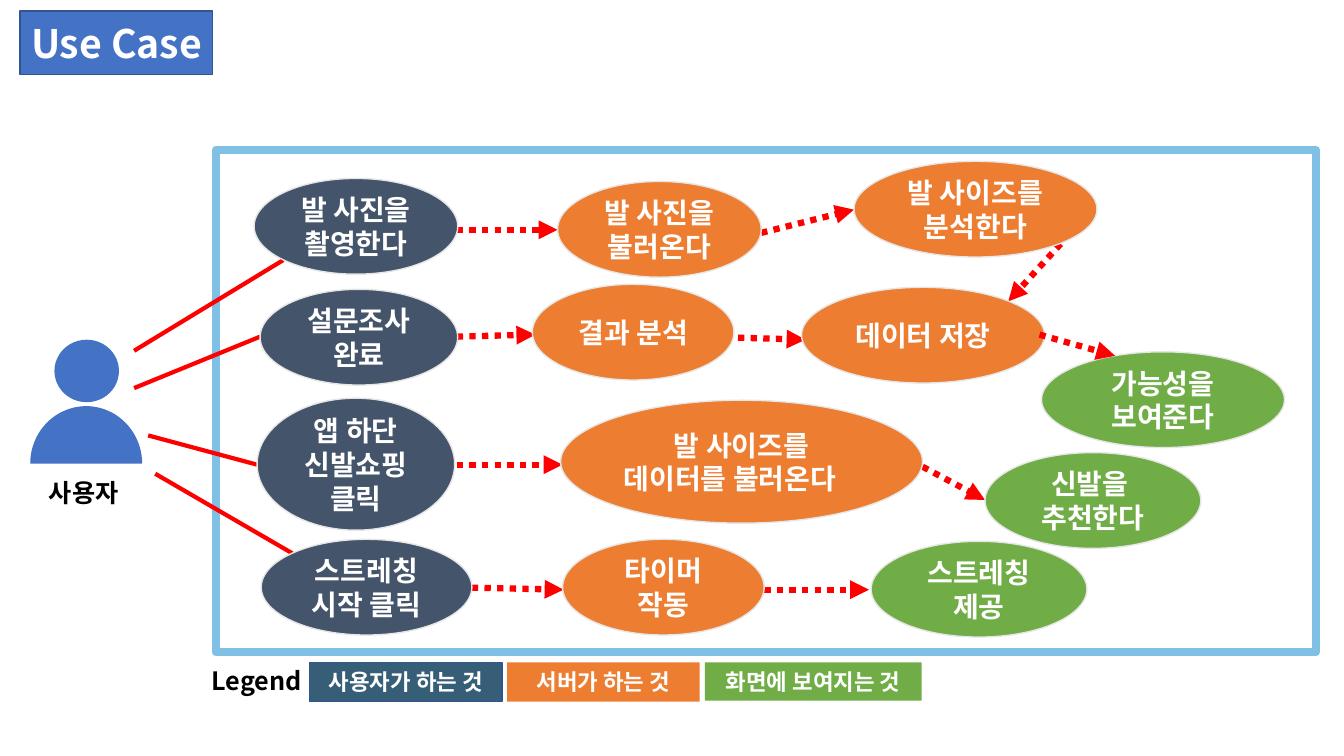
import math
from lxml import etree
from pptx import Presentation
from pptx.dml.color import RGBColor
from pptx.enum.dml import MSO_LINE
from pptx.enum.shapes import MSO_CONNECTOR, MSO_SHAPE
from pptx.enum.text import MSO_ANCHOR, PP_ALIGN
from pptx.oxml.ns import qn
from pptx.util import Inches, Pt

RECT, OVAL = MSO_SHAPE.RECTANGLE, MSO_SHAPE.OVAL
STRAIGHT = MSO_CONNECTOR.STRAIGHT
DOTTED = MSO_LINE.ROUND_DOT
MIDDLE, TOP = MSO_ANCHOR.MIDDLE, MSO_ANCHOR.TOP
CENTER, LEFT = PP_ALIGN.CENTER, PP_ALIGN.LEFT

FONT = "Noto Sans CJK KR"
COLORS = {
    "white": "FFFFFF", "black": "000000", "blue": "4472C4", "edge": "325491",
    "frame": "81C0E5", "user": "44546A", "user_key": "365E77",
    "server": "ED7D31", "screen": "70AD47", "rim": "E6E6E6", "red": "FF0000",
}

# Use cases: role, left, top, width, height, lines of text
USE_CASES = [
    ("user", 2.52, 1.77, 2.02, 0.95, ["발 사진을 촬영한다"]),
    ("server", 5.53, 1.8, 2.02, 0.95, ["발 사진을 불러온다"]),
    ("server", 8.47, 1.6, 2.41, 0.95, ["발 사이즈를", "분석한다"]),
    ("user", 2.58, 2.87, 1.96, 0.95, ["설문조사", "완료"]),
    ("server", 5.28, 2.82, 2, 0.95, ["결과 분석"]),
    ("server", 7.95, 2.85, 2.41, 0.95, ["데이터 저장"]),
    ("screen", 10.33, 3.49, 2.41, 0.95, ["가능성을", "보여준다"]),
    ("user", 2.55, 3.95, 1.96, 1.31, ["앱 하단", "신발쇼핑", "클릭"]),
    ("screen", 9.77, 4.49, 2.14, 0.95, ["신발을 ", "추천한다"]),
    ("user", 2.59, 5.35, 2.09, 0.95, ["스트레칭", "시작 클릭"]),
    ("server", 5.58, 5.35, 2, 0.95, ["타이머", "작동"]),
    ("screen", 8.64, 5.37, 2.14, 0.95, ["스트레칭", "제공"]),
]
LOAD_SIZE = ("server", 5.56, 3.97, 3.59, 1.22, ["발 사이즈를", "데이터를 불러온다"])

# Lines and arrows: start x, start y, end x, end y
USER_LINES = [
    (1.33, 3.48, 2.81, 2.58), (1.33, 3.85, 2.58, 3.34),
    (1.47, 4.32, 2.55, 4.61), (1.54, 4.7, 2.9, 5.49),
]
FLOW_ARROWS = [
    (4.53, 2.28, 5.53, 2.28), (7.55, 2.31, 8.47, 2.08), (10.52, 2.42, 10, 2.99),
    (4.53, 3.34, 5.31, 3.32), (7.32, 3.35, 7.99, 3.37),
    (4.53, 4.61, 5.58, 4.61), (9.15, 4.63, 9.77, 4.96),
    (4.68, 5.83, 5.59, 5.85), (7.58, 5.85, 8.62, 5.85),
]
RESULT_ARROW = (10.31, 3.32, 11.06, 3.53)

# Legend: colour, edge, left, width, height, text
LEGEND = [
    ("user_key", "edge", 3.07, 1.91, 0.39, "사용자가 하는 것"),
    ("server", None, 5.03, 1.91, 0.39, "서버가 하는 것"),
    ("screen", None, 6.99, 2.15, 0.38, "화면에 보여지는 것"),
]


def rgb(name):
    return RGBColor.from_string(COLORS[name])


def paint(sp, fill, edge=None, width=1):
    sp.shadow.inherit = False
    sp.fill.solid()
    sp.fill.fore_color.rgb = rgb(fill)
    if edge:
        sp.line.color.rgb = rgb(edge)
        sp.line.width = Pt(width)
    else:
        sp.line.fill.background()


def write(sp, lines, size, color="white", anchor=MIDDLE, align=CENTER):
    tf = sp.text_frame
    tf.word_wrap = True
    tf.vertical_anchor = anchor
    for i, line in enumerate(lines):
        p = tf.paragraphs[0] if i == 0 else tf.add_paragraph()
        p.alignment = align
        r = p.add_run()
        r.text = line
        for key, value in {"name": FONT, "size": Pt(size), "bold": True}.items():
            setattr(r.font, key, value)
        r.font.color.rgb = rgb(color)
        ea = etree.SubElement(r.font._element, qn("a:ea"))
        ea.set("typeface", FONT)


def add_box(s, kind, x, y, w, h, fill, edge=None, width=1):
    sp = s.shapes.add_shape(kind, Inches(x), Inches(y), Inches(w), Inches(h))
    paint(sp, fill, edge, width)
    return sp


def add_label(s, x, y, w, text):
    tb = s.shapes.add_textbox(Inches(x), Inches(y), Inches(w), Inches(0.4))
    write(tb, [text], 18, "black", TOP)


def add_use_case(s, role, x, y, w, h, lines, align=CENTER):
    sp = add_box(s, OVAL, x, y, w, h, role, "rim")
    write(sp, lines, 20, align=align)
    return sp


def add_line(s, x1, y1, x2, y2, arrow=False):
    cn = s.shapes.add_connector(STRAIGHT, Inches(x1), Inches(y1), Inches(x2), Inches(y2))
    cn.line.color.rgb = rgb("red")
    cn.line.width = Pt(4.5 if arrow else 3)
    if arrow:
        cn.line.dash_style = DOTTED
        tail = etree.SubElement(cn.line._get_or_add_ln(), qn("a:tailEnd"))
        tail.set("type", "triangle")
    etree.SubElement(cn._element.spPr, qn("a:effectLst"))


def add_user(s):
    # Shoulders are the upper half of an ellipse, below a round head
    cx, base, rx, ry, steps = 0.855, 4.6, 0.555, 0.57, 60
    points = []
    for i in range(steps + 1):
        angle = math.pi * i / steps
        points.append((Inches(cx - rx * math.cos(angle)), Inches(base - ry * math.sin(angle))))
    fb = s.shapes.build_freeform(*points[0])
    fb.add_line_segments(points[1:], close=True)
    paint(fb.convert_to_shape(), "blue")
    add_box(s, OVAL, 0.54, 3.37, 0.64, 0.62, "blue")
    add_label(s, 0.2, 4.69, 1.26, "사용자")


def main():
    prs = Presentation()
    prs.slide_width, prs.slide_height = Inches(13.33), Inches(7.5)
    s = prs.slides.add_slide(prs.slide_layouts[6])

    # Title, user and system frame
    write(add_box(s, RECT, 0.2, 0.11, 1.91, 0.63, "blue", "edge"), ["Use Case"], 28)
    add_user(s)
    add_box(s, RECT, 2.14, 1.49, 10.91, 4.98, "white", "frame", 6)

    # Lines lie behind the use cases, except the arrow to the result
    for line in USER_LINES:
        add_line(s, *line)
    for arrow in FLOW_ARROWS:
        add_line(s, *arrow, arrow=True)
    for case in USE_CASES:
        add_use_case(s, *case)
    sp = add_use_case(s, *LOAD_SIZE, align=LEFT)
    pPr = sp.text_frame.paragraphs[0]._p.get_or_add_pPr()
    pPr.set("marL", str(Inches(0.5)))
    add_line(s, *RESULT_ARROW, arrow=True)

    # Legend
    add_label(s, 1.93, 6.55, 1.23, "Legend")
    for fill, edge, x, w, h, text in LEGEND:
        write(add_box(s, RECT, x, 6.57, w, h, fill, edge), [text], 16)

    prs.save("out.pptx")


if __name__ == "__main__":
    main()
